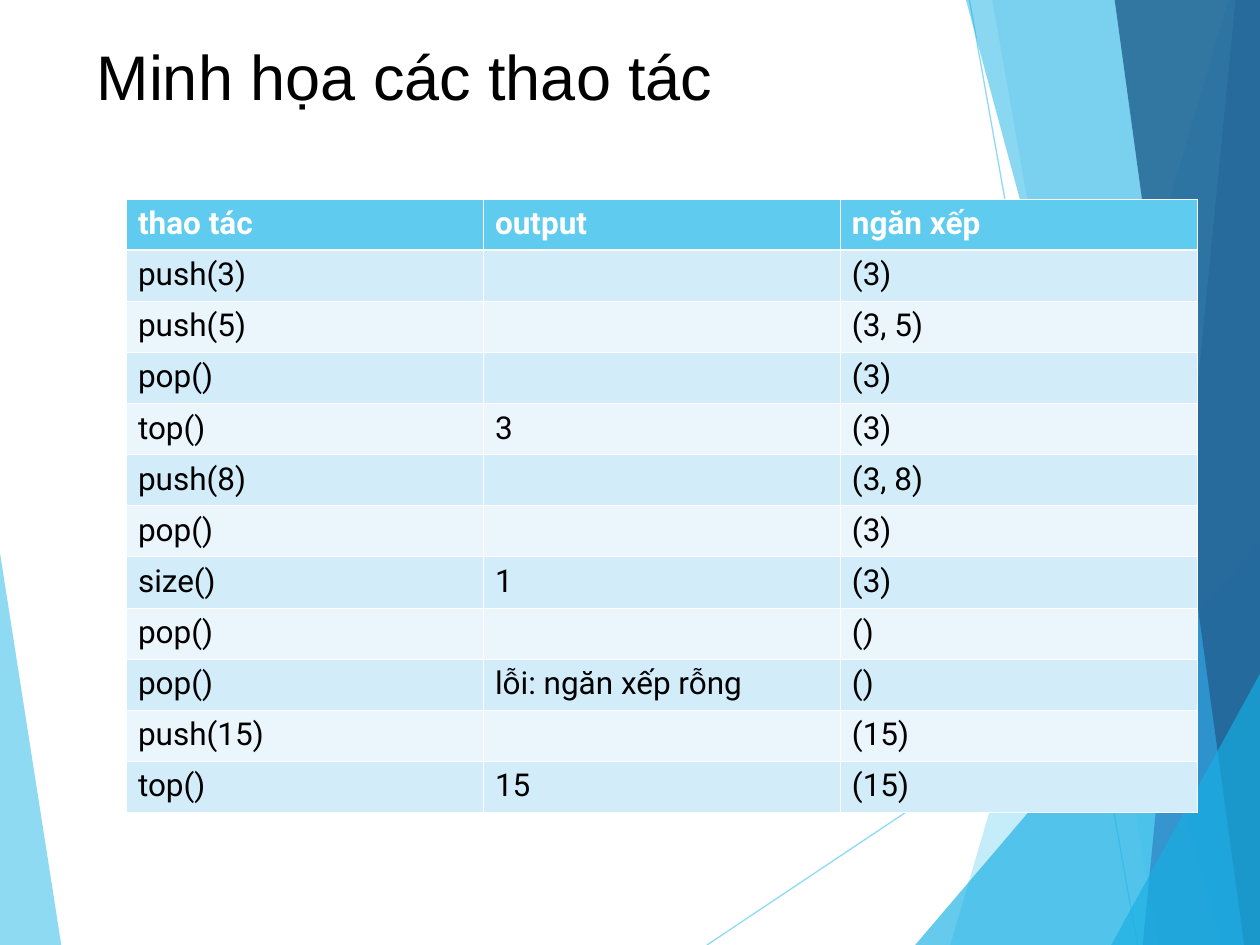
from lxml import etree
from pptx import Presentation
from pptx.dml.color import RGBColor
from pptx.enum.text import MSO_ANCHOR, MSO_AUTO_SIZE, PP_ALIGN
from pptx.oxml.ns import qn
from pptx.util import Pt

SLIDE_W, SLIDE_H = 720, 540
SKY, CYAN, BLUE, NAVY = "5FCBEF", "17B0E4", "2E83C3", "236292"
WHITE, BLACK = "FFFFFF", "000000"
BANDS = ("D2ECF9", "EAF6FC")

# Facets: top x, top y, bottom x, outer edge x, colour, opacity in percent
LEFT_FACET = (0, 316, 35, 0, SKY, 70)
RIGHT_FACETS = [
    (702, 0, 543, SLIDE_W, SKY, 36),
    (567, 0, 662, SLIDE_W, SKY, 20),
    (720, 309, 523, SLIDE_W, CYAN, 66),
    (552, 0, 698, SLIDE_W, CYAN, 50),
    (706, 0, 653, SLIDE_W, BLUE, 70),
    (637, 0, 711, SLIDE_W, NAVY, 82),
    (720, 385, 635, SLIDE_W, CYAN, 66),
]
RAYS = [(404, 540, 720, 329), (554, 0, 650, 540)]

ROWS = [
    ("thao tác", "output", "ngăn xếp"),
    ("push(3)", "", "(3)"),
    ("push(5)", "", "(3, 5)"),
    ("pop()", "", "(3)"),
    ("top()", "3", "(3)"),
    ("push(8)", "", "(3, 8)"),
    ("pop()", "", "(3)"),
    ("size()", "1", "(3)"),
    ("pop()", "", "()"),
    ("pop()", "lỗi: ngăn xếp rỗng", "()"),
    ("push(15)", "", "(15)"),
    ("top()", "15", "(15)"),
]


def rgb(color):
    return RGBColor.from_string(color)


def set_solid(fill, color, opacity=100):
    fill.solid()
    fill.fore_color.rgb = rgb(color)
    if opacity < 100:
        clr = fill._xPr.find(qn("a:solidFill"))[0]
        etree.SubElement(clr, qn("a:alpha"), val=str(opacity * 1000))


def add_facet(slide, box, facet):
    left, top, _, height = box
    top_x, top_y, bottom_x, edge_x, color, opacity = facet
    corners = [(top_x, top_y), (bottom_x, height), (edge_x, height), (edge_x, top_y)]
    points = [(left + x, top + y) for x, y in corners]
    builder = slide.shapes.build_freeform(*points[0], scale=Pt(1))
    builder.add_line_segments(points[1:], close=True)
    sp = builder.convert_to_shape()
    sp.shadow.inherit = False
    set_solid(sp.fill, color, opacity)
    sp.line.fill.background()


def add_ray(slide, box, ray):
    left, top = box[:2]
    x1, y1, x2, y2 = ray
    line = slide.shapes.add_connector(
        1, Pt(left + x1), Pt(top + y1), Pt(left + x2), Pt(top + y2))
    line.line.width = Pt(0.75)
    set_solid(line.line.fill, SKY, 70)
    etree.SubElement(line._element.spPr, qn("a:effectLst"))


def add_backdrop(slide, box):
    add_facet(slide, box, LEFT_FACET)
    for ray in RAYS:
        add_ray(slide, box, ray)
    for facet in RIGHT_FACETS:
        add_facet(slide, box, facet)


def add_title(slide, box, text):
    title = slide.shapes.title
    title.left, title.top, title.width, title.height = map(Pt, box)
    slide.shapes._spTree.append(title._element)  # bring in front of the backdrop
    tf = title.text_frame
    tf.text = text
    tf.word_wrap = True
    tf.auto_size = MSO_AUTO_SIZE.NONE
    tf.vertical_anchor = MSO_ANCHOR.TOP
    p = tf.paragraphs[0]
    p.alignment = PP_ALIGN.LEFT
    p.font.name, p.font.size = "Arial", Pt(36)
    p.font.color.rgb = rgb(BLACK)


def set_borders(cell, widths):
    tc_pr = cell._tc.get_or_add_tcPr()
    for side, width in widths.items():
        ln = etree.SubElement(tc_pr, qn(f"a:ln{side}"), w=str(Pt(width)))
        fill = etree.SubElement(ln, qn("a:solidFill"))
        etree.SubElement(fill, qn("a:srgbClr"), val=WHITE)


def format_cell(cell, text, row):
    header = row == 0
    cell.text = text
    cell.margin_left = cell.margin_right = Pt(6.6)
    cell.margin_top = cell.margin_bottom = Pt(3.6)
    # The rule under the header is heavier than the rest of the grid
    set_borders(cell, {"L": 0.45, "R": 0.45,
                       "T": 1.47 if row == 1 else 0.45,
                       "B": 1.47 if header else 0.45})
    set_solid(cell.fill, SKY if header else BANDS[(row - 1) % 2])
    font = cell.text_frame.paragraphs[0].font
    font.name, font.size, font.bold = "Roboto", Pt(18), header
    font.color.rgb = rgb(WHITE if header else BLACK)


def add_stack_table(slide, box, rows):
    left, top, width, height = box
    table = slide.shapes.add_table(len(rows), len(rows[0]), *map(Pt, box)).table
    for column in table.columns:
        column.width = Pt(width / len(rows[0]))
    for r, texts in enumerate(rows):
        table.rows[r].height = Pt(height / len(rows))
        for c, text in enumerate(texts):
            format_cell(table.cell(r, c), text, r)


def main():
    prs = Presentation()
    prs.slide_width, prs.slide_height = Pt(SLIDE_W), Pt(SLIDE_H)
    slide = prs.slides.add_slide(prs.slide_layouts[5])
    add_backdrop(slide, (0, 0, SLIDE_W, SLIDE_H))
    add_title(slide, (48, 18, 500, 104), "Minh họa các thao tác")
    add_stack_table(slide, (72.3, 113.8, 612, 350.4), ROWS)
    prs.save("out.pptx")


if __name__ == "__main__":
    main()
